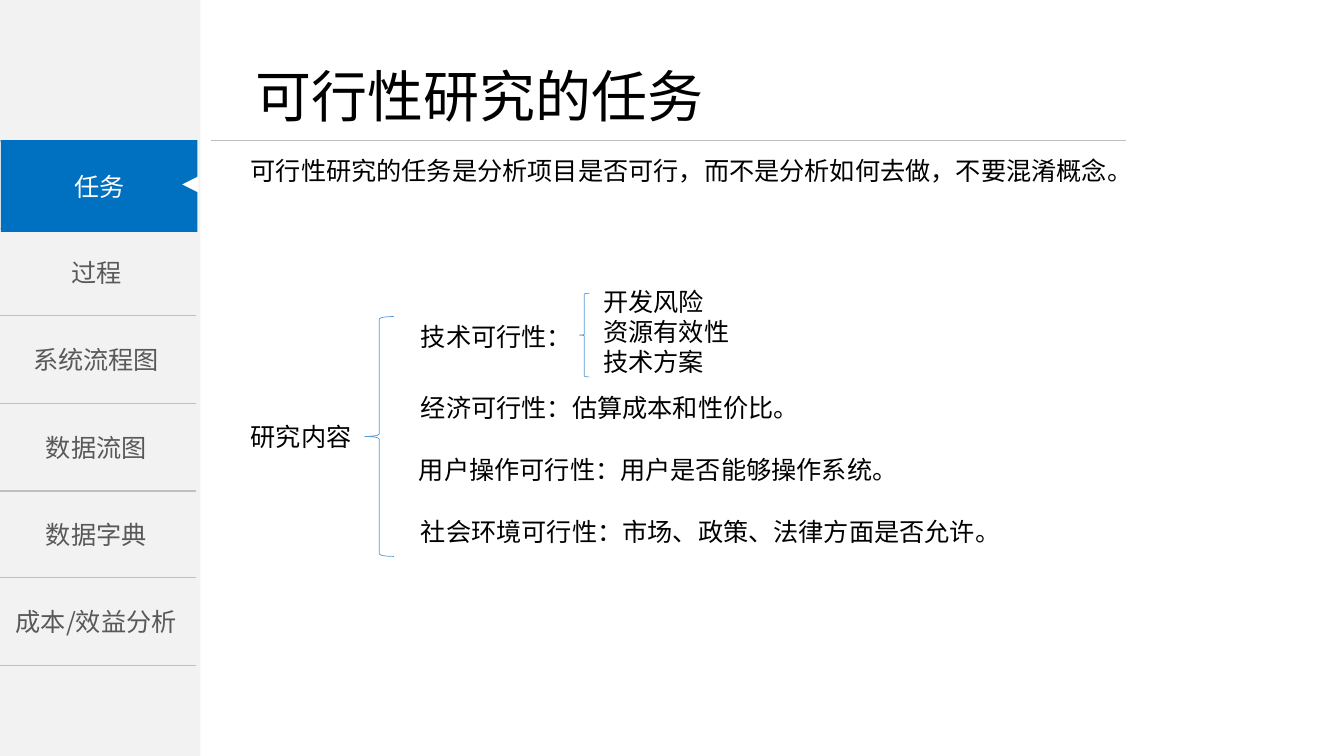
from dataclasses import dataclass

from lxml import etree
from pptx import Presentation
from pptx.dml.color import RGBColor
from pptx.enum.shapes import MSO_CONNECTOR, MSO_SHAPE
from pptx.enum.text import MSO_ANCHOR, MSO_AUTO_SIZE, PP_ALIGN
from pptx.oxml.ns import qn
from pptx.util import Emu, Pt

PX = 9144  # one px is a hundredth of an inch
SLIDE_WIDTH, SLIDE_HEIGHT = 1334, 750
TITLE_ONLY = 5

STRAIGHT = MSO_CONNECTOR.STRAIGHT
RECTANGLE = MSO_SHAPE.RECTANGLE
TRIANGLE = MSO_SHAPE.ISOSCELES_TRIANGLE
LEFT_BRACE = MSO_SHAPE.LEFT_BRACE
TOP, MIDDLE = MSO_ANCHOR.TOP, MSO_ANCHOR.MIDDLE
LEFT, CENTER = PP_ALIGN.LEFT, PP_ALIGN.CENTER
NO_AUTOFIT = MSO_AUTO_SIZE.NONE

BLACK = RGBColor(0x00, 0x00, 0x00)
WHITE = RGBColor(0xFF, 0xFF, 0xFF)
SIDEBAR_GREY = RGBColor(0xF2, 0xF2, 0xF2)
RULE_GREY = RGBColor(0xBF, 0xBF, 0xBF)
TAB_GREY = RGBColor(0x59, 0x59, 0x59)
ACTIVE_BLUE = RGBColor(0x00, 0x70, 0xC0)
BRACE_BLUE = RGBColor(0x5B, 0x9B, 0xD5)

CJK_FONT = "Noto Sans CJK SC"
BODY_FONT = "Calibri"


@dataclass(frozen=True)
class Box:
    left: int
    top: int
    width: int
    height: int

    def emu(self) -> list[Emu]:
        return [Emu(n * PX) for n in (self.left, self.top, self.width, self.height)]


@dataclass(frozen=True)
class TextStyle:
    font: str = BODY_FONT
    size: int = 18
    color: RGBColor = BLACK
    align: PP_ALIGN = LEFT
    anchor: MSO_ANCHOR = TOP
    wrap: bool = True


@dataclass(frozen=True)
class Note:
    box: Box
    lines: tuple[str, ...]


TITLE = "可行性研究的任务"
ACTIVE_TAB = "任务"
OTHER_TABS = ("过程", "系统流程图", "数据流图", "数据字典", "成本/效益分析")
TAB_LEFT, TAB_TOP, TAB_WIDTH = -4, 140, 199
TABS_HEIGHT = 520
NOTES = (
    Note(Box(239, 149, 987, 40), ("可行性研究的任务是分析项目是否可行，而不是分析如何去做，不要混淆概念。",)),
    Note(Box(239, 413, 139, 40), ("研究内容",)),
    Note(Box(408, 314, 598, 40), ("技术可行性：",)),
    Note(Box(589, 279, 288, 100), ("开发风险", "资源有效性", "技术方案")),
    Note(Box(408, 384, 399, 40), ("经济可行性：估算成本和性价比。",)),
    Note(Box(406, 446, 514, 40), ("用户操作可行性：用户是否能够操作系统。",)),
    Note(Box(408, 507, 621, 40), ("社会环境可行性：市场、政策、法律方面是否允许。",)),
)
BRACES = (Box(362, 314, 29, 238), Box(575, 291, 10, 83))

TITLE_STYLE = TextStyle(font=CJK_FONT, size=40, wrap=False)
TAB_STYLE = TextStyle(CJK_FONT, color=TAB_GREY, align=CENTER, anchor=MIDDLE)
ACTIVE_STYLE = TextStyle(CJK_FONT, color=WHITE, align=CENTER, anchor=MIDDLE)
NOTE_STYLE = TextStyle()


def write(shape, lines: tuple[str, ...], style: TextStyle) -> None:
    frame = shape.text_frame
    frame.text = "\n".join(lines)
    frame_format = {
        "word_wrap": style.wrap, "auto_size": NO_AUTOFIT, "vertical_anchor": style.anchor,
        "margin_left": Emu(10 * PX), "margin_right": Emu(10 * PX),
        "margin_top": Emu(5 * PX), "margin_bottom": Emu(5 * PX),
    }
    for name, value in frame_format.items():
        setattr(frame, name, value)
    for paragraph in frame.paragraphs:
        paragraph.alignment = style.align
        for run in paragraph.runs:
            run.font.size = Pt(style.size)
            run.font.color.rgb = style.color
            run.font.name = style.font
            east_asian = etree.SubElement(run._r.get_or_add_rPr(), qn("a:ea"))
            east_asian.set("typeface", CJK_FONT)


def add_text(slide, box: Box, lines: tuple[str, ...], style: TextStyle) -> None:
    write(slide.shapes.add_textbox(*box.emu()), lines, style)


def add_filled(slide, kind: MSO_SHAPE, box: Box, color: RGBColor):
    shape = slide.shapes.add_shape(kind, *box.emu())
    shape.shadow.inherit = False
    shape.fill.solid()
    shape.fill.fore_color.rgb = color
    shape.line.fill.background()
    return shape


def add_rule(slide, left: int, right: int, y: int, weight: float) -> None:
    """Draw a grey horizontal line."""
    rule = slide.shapes.add_connector(STRAIGHT, *(Emu(n * PX) for n in (left, y, right, y)))
    rule.line.color.rgb = RULE_GREY
    rule.line.width = Pt(weight)
    etree.SubElement(rule._element.spPr, qn("a:effectLst"))


def add_brace(slide, box: Box) -> None:
    brace = slide.shapes.add_shape(LEFT_BRACE, *box.emu())
    brace.shadow.inherit = False
    brace.fill.background()
    brace.line.color.rgb = BRACE_BLUE
    brace.line.width = Pt(0.5)


def add_title(slide) -> None:
    title = slide.shapes.title
    title.left, title.top, title.width, title.height = Box(244, 56, 464, 77).emu()
    write(title, (TITLE,), TITLE_STYLE)
    add_rule(slide, 209, 1118, 139, 0.5)


def add_sidebar(slide) -> None:
    add_filled(slide, RECTANGLE, Box(0, 0, 199, SLIDE_HEIGHT), SIDEBAR_GREY)
    row_count = len(OTHER_TABS) + 1
    edges = [TAB_TOP + round(row * TABS_HEIGHT / row_count) for row in range(row_count + 1)]
    for label, top, bottom in zip(OTHER_TABS, edges[1:], edges[2:]):
        add_text(slide, Box(TAB_LEFT, top, TAB_WIDTH, bottom - top), (label,), TAB_STYLE)
    for edge in edges:
        add_rule(slide, TAB_LEFT, TAB_LEFT + TAB_WIDTH, edge, 1)
    active = add_filled(slide, RECTANGLE, Box(1, 139, 195, 91), ACTIVE_BLUE)
    write(active, (ACTIVE_TAB,), ACTIVE_STYLE)
    pointer = add_filled(slide, TRIANGLE, Box(181, 175, 16, 16), WHITE)
    pointer.rotation = 270


def main() -> None:
    deck = Presentation()
    deck.slide_width, deck.slide_height = Emu(SLIDE_WIDTH * PX), Emu(SLIDE_HEIGHT * PX)
    slide = deck.slides.add_slide(deck.slide_layouts[TITLE_ONLY])
    add_title(slide)
    add_sidebar(slide)
    for note in NOTES:
        add_text(slide, note.box, note.lines, NOTE_STYLE)
    for brace_box in BRACES:
        add_brace(slide, brace_box)
    deck.save("out.pptx")


if __name__ == "__main__":
    main()
